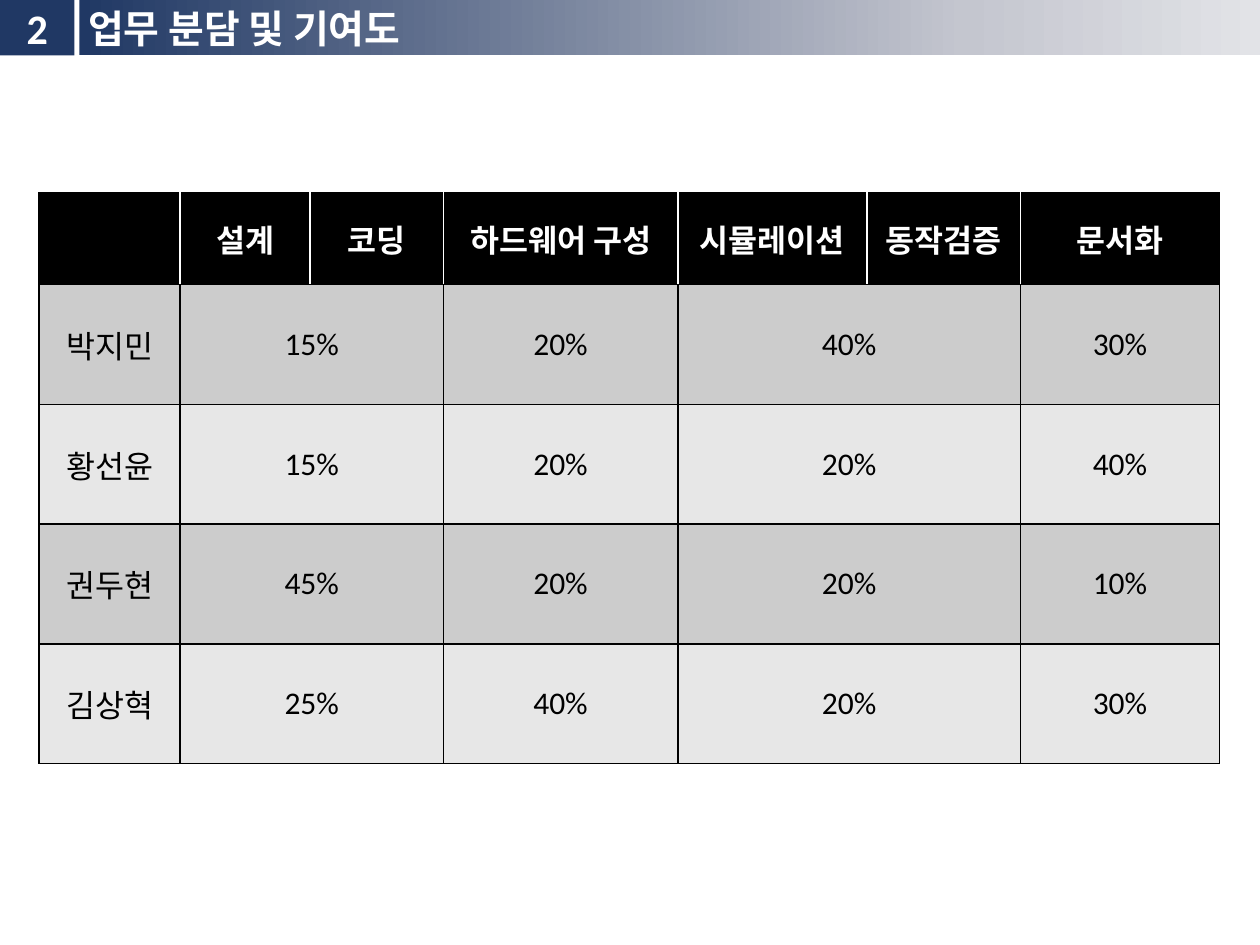
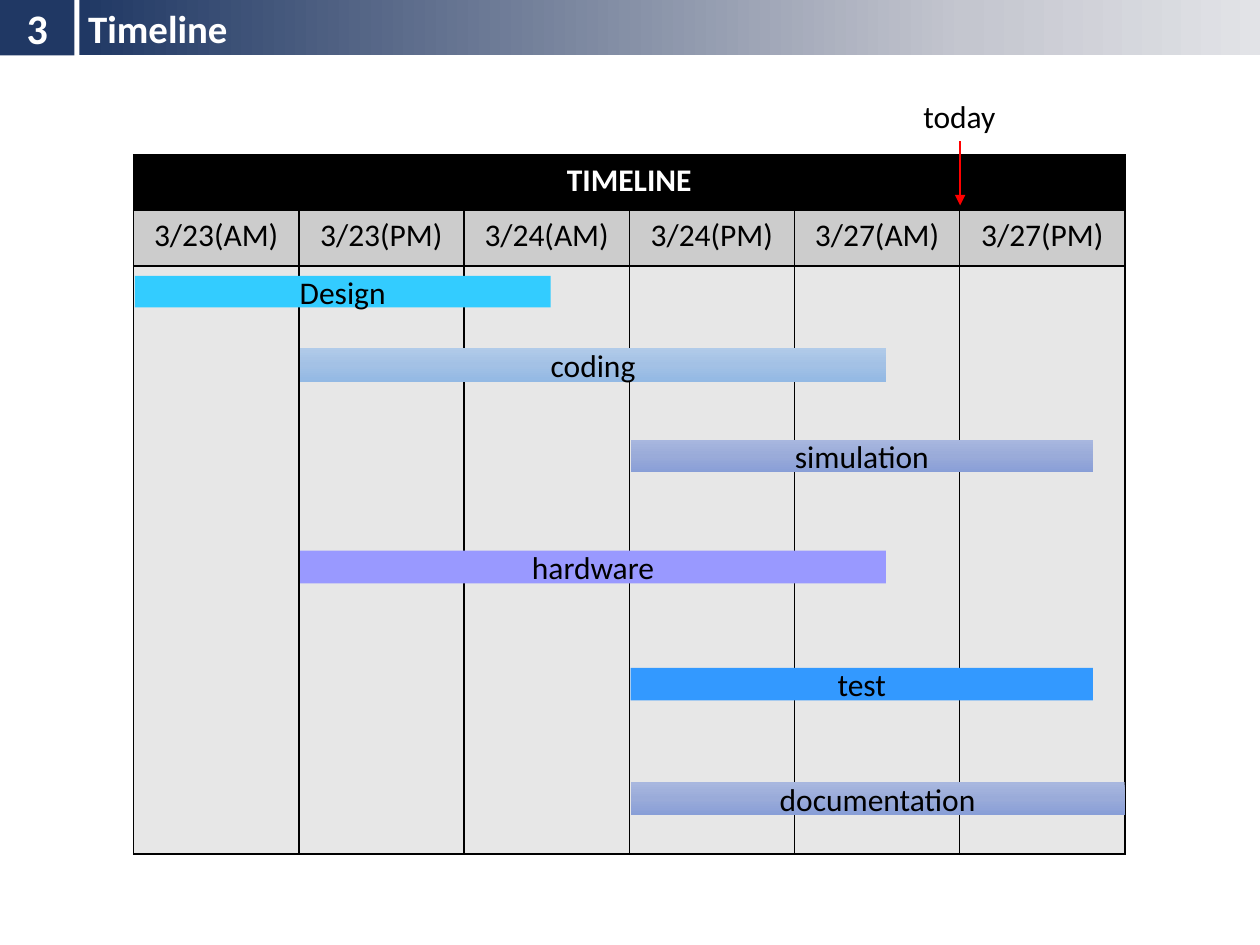
from dataclasses import dataclass, field
from typing import Any

import lxml.etree
import pptx
import pptx.dml.color
import pptx.enum.shapes
import pptx.enum.text
import pptx.oxml.ns
import pptx.util

Inches = pptx.util.Inches
Align = pptx.enum.text.PP_ALIGN
Anchor = pptx.enum.text.MSO_ANCHOR
Rect = pptx.enum.shapes.MSO_SHAPE.RECTANGLE


@dataclass(frozen=True)
class Theme:
    font: str = "Calibri"
    head: float = 22.2
    badge: float = 24
    body: float = 18
    line: float = 1
    arrow: float = 1.5
    navy: str = "203864"
    white: str = "FFFFFF"
    black: str = "000000"
    red: str = "FF0000"
    cyan: str = "33CCFF"
    violet: str = "9999FF"
    azure: str = "3399FF"
    bands: tuple = ("CCCCCC", "E7E7E7")
    fade: tuple = ((0, "203864"), (75, "C4C6CF"), (100, "E2E3E7"))
    sky: tuple = ((0, "B1CBE9"), (50, "A3C1E5"), (100, "93B9E4"))
    haze: tuple = ((0, "A8B7DF"), (50, "9AABD9"), (100, "889ED7"))


T = Theme()


@dataclass(frozen=True)
class Grid:
    left: float
    top: float
    cols: list[float]
    rows: list[float]
    cells: list[list[str]]
    spans: list[tuple[int, int, int]]  # row, first column, last column
    rule: str = T.black  # lines between header cells
    anchor: Any = field(default=Anchor.MIDDLE)


@dataclass(frozen=True)
class Task:
    name: str
    start: int  # column where the bar begins
    top: float
    width: float
    fill: Any
    height: float = 0.26


def rgb(code: str) -> pptx.dml.color.RGBColor:
    return pptx.dml.color.RGBColor.from_string(code)


def add(parent: Any, tag: str, **attrs: str) -> Any:
    return lxml.etree.SubElement(parent, pptx.oxml.ns.qn(tag), attrs)


def write(frame: Any, text: str, *, size: float = T.body, color: str = T.black,
          bold: bool = False, align: Any = Align.CENTER) -> Any:
    """Put one formatted paragraph in a text frame."""
    para = frame.paragraphs[0]
    para.alignment = align
    run = para.add_run()
    run.text = text
    run.font.name = T.font
    run.font.size = pptx.util.Pt(size)
    run.font.bold = bold
    run.font.color.rgb = rgb(color)
    return para


def paint(shape: Any, fill: Any, angle: int = 270) -> None:
    """Fill with one colour, or with gradient stops."""
    if isinstance(fill, str):
        shape.fill.solid()
        shape.fill.fore_color.rgb = rgb(fill)
        return
    shape.fill.gradient()
    shape.fill.gradient_angle = angle
    stops = next(shape.element.iter(pptx.oxml.ns.qn("a:gsLst")))
    for stop in list(stops):
        stops.remove(stop)
    for pos, code in fill:
        add(add(stops, "a:gs", pos=str(pos * 1000)), "a:srgbClr", val=code)


def inset(frame: Any, top: float) -> None:
    frame.margin_left = frame.margin_right = Inches(0.07)
    frame.margin_top, frame.margin_bottom = Inches(top), Inches(0.04)


def box(slide: Any, left: float, top: float, width: float, height: float,
        fill: Any) -> Any:
    shape = slide.shapes.add_shape(
        Rect, Inches(left), Inches(top), Inches(width), Inches(height))
    shape.shadow.inherit = False
    shape.line.fill.background()
    paint(shape, fill)
    shape.text_frame.vertical_anchor = Anchor.MIDDLE
    return shape


def page(deck: Any, number: int, name: str) -> Any:
    """Add a slide with its title band and number badge."""
    slide = deck.slides.add_slide(deck.slide_layouts[5])
    title = slide.shapes.title
    title.left, title.top = Inches(0.63), Inches(0)
    title.width, title.height = Inches(9.37), Inches(0.44)
    paint(title, T.fade, 0)
    frame = title.text_frame
    frame.auto_size = pptx.enum.text.MSO_AUTO_SIZE.NONE
    frame.vertical_anchor = Anchor.BOTTOM
    inset(frame, 0.12)
    para = write(frame, name, size=T.head, color=T.white, bold=True,
                 align=Align.LEFT)
    para.line_spacing = 0.7
    badge = box(slide, 0, 0, 0.59, 0.44, T.navy)
    inset(badge.text_frame, 0.04)
    write(badge.text_frame, str(number), size=T.badge, color=T.white, bold=True)
    return slide


def edge(cell: Any, left: str, right: str) -> None:
    """Draw the four cell borders; top and bottom are black."""
    props = cell._tc.get_or_add_tcPr()
    for side, code in zip("LRTB", (left, right, T.black, T.black)):
        line = add(props, f"a:ln{side}", w=str(pptx.util.Pt(T.line)))
        add(add(line, "a:solidFill"), "a:srgbClr", val=code)


def draw(slide: Any, grid: Grid) -> None:
    """Draw a table with a black header and banded rows."""
    table = slide.shapes.add_table(
        len(grid.rows), len(grid.cols), Inches(grid.left), Inches(grid.top),
        Inches(sum(grid.cols)), Inches(sum(grid.rows))).table
    table.first_row = table.horz_banding = False
    for col, width in zip(table.columns, grid.cols):
        col.width = Inches(width)
    for row, height in zip(table.rows, grid.rows):
        row.height = Inches(height)
    last = len(grid.cols) - 1
    for r, texts in enumerate(grid.cells):
        inner = T.black if r else grid.rule
        for c, text in enumerate(texts):
            cell = table.cell(r, c)
            edge(cell, inner if c else T.black, inner if c < last else T.black)
            cell.fill.solid()
            cell.fill.fore_color.rgb = rgb(T.bands[(r - 1) % 2] if r else T.black)
            cell.vertical_anchor = grid.anchor
            if text:
                write(cell.text_frame, text, bold=r == 0,
                      color=T.black if r else T.white)
    for r, first, end in grid.spans:
        table.cell(r, first).merge(table.cell(r, end))


def share(deck: Any) -> None:
    """Work split by member."""
    slide = page(deck, 2, "업무 분담 및 기여도")
    draw(slide, Grid(
        0.31, 1.53, [1.12, 1.03, 1.06, 1.86, 1.5, 1.22, 1.58],
        [0.73] + [0.95] * 4,
        [["", "설계", "코딩", "하드웨어 구성", "시뮬레이션", "동작검증", "문서화"],
         ["박지민", "15%", "", "20%", "40%", "", "30%"],
         ["황선윤", "15%", "", "20%", "20%", "", "40%"],
         ["권두현", "45%", "", "20%", "20%", "", "10%"],
         ["김상혁", "25%", "", "40%", "20%", "", "30%"]],
        [(r, c, c + 1) for r in range(1, 5) for c in (1, 4)],
        rule=T.white))


def plan(deck: Any) -> None:
    """Schedule with task bars."""
    slide = page(deck, 3, "Timeline")
    step = 7.87 / 6
    days = [f"{day}({half})" for day in ("3/23", "3/24", "3/27")
            for half in ("AM", "PM")]
    draw(slide, Grid(
        1.06, 1.23, [step] * 6, [0.44, 0.44, 4.67],
        [["TIMELINE"] + [""] * 5, days, [""] * 6],
        [(0, 0, 5)], anchor=Anchor.TOP))

    # Marker for today
    arrow = slide.shapes.add_connector(
        pptx.enum.shapes.MSO_CONNECTOR.STRAIGHT,
        Inches(7.62), Inches(1.12), Inches(7.62), Inches(1.63))
    arrow.line.color.rgb = rgb(T.red)
    arrow.line.width = pptx.util.Pt(T.arrow)
    add(arrow.line._get_or_add_ln(), "a:tailEnd", type="triangle")
    add(arrow.element.spPr, "a:effectLst")
    label = slide.shapes.add_textbox(
        Inches(7.23), Inches(0.72), Inches(0.78), Inches(0.4))
    label.text_frame.word_wrap = False
    write(label.text_frame, "today", align=Align.LEFT)

    # Task bars
    for task in (
        Task("Design", 0, 2.19, 3.3, T.cyan, 0.25),
        Task("coding", 1, 2.76, 4.65, T.sky, 0.27),
        Task("simulation", 3, 3.49, 3.67, T.haze),
        Task("hardware", 1, 4.37, 4.65, T.violet),
        Task("test", 3, 5.3, 3.67, T.azure),
        Task("documentation", 3, 6.21, 3.92, T.haze),
    ):
        bar = box(slide, 1.07 + task.start * step, task.top, task.width,
                  task.height, task.fill)
        write(bar.text_frame, task.name)


def main() -> None:
    deck = pptx.Presentation()
    deck.slide_width, deck.slide_height = Inches(10), Inches(7.5)
    share(deck)
    plan(deck)
    deck.save("out.pptx")


if __name__ == "__main__":
    main()
